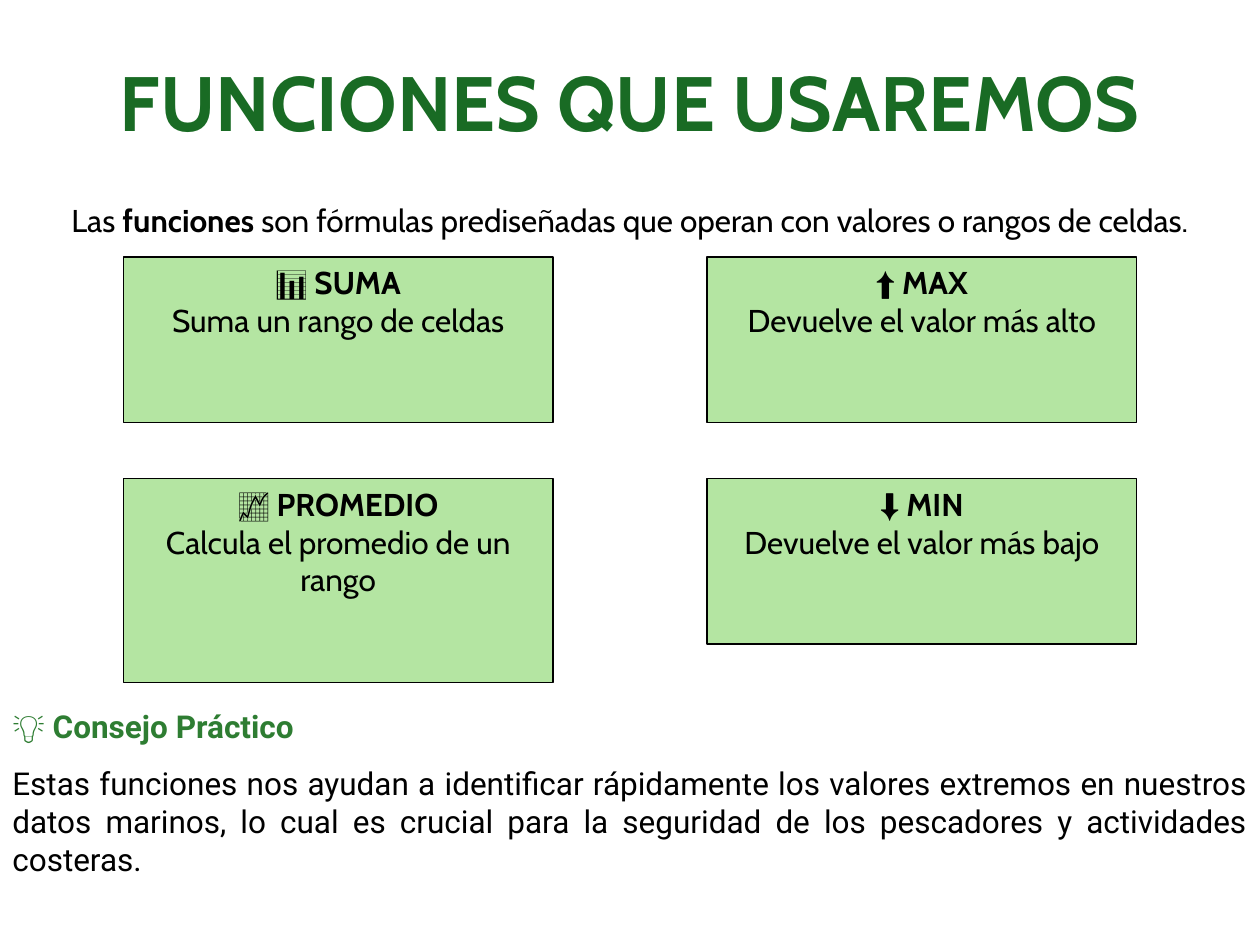
from pptx import Presentation
from pptx.dml.color import RGBColor
from pptx.enum.shapes import MSO_SHAPE
from pptx.enum.text import MSO_ANCHOR, MSO_AUTO_SIZE, PP_ALIGN
from pptx.util import Pt

BLACK = "000000"
TITLE_GREEN = "196B24"
TIP_GREEN = "2E7D32"
CARD_GREEN = "B4E5A2"

CARD_LEFTS = (70.5, 404)
CARD_TOPS = (147, 273.5)
CARD_WIDTH = 245.5
CARDS = [
    (0, 0, 94.5, "📊 SUMA", "Suma un rango de celdas"),
    (1, 0, 94.5, "⬆️ MAX", "Devuelve el valor más alto"),
    (1, 1, 94.5, "⬇️ MIN", "Devuelve el valor más bajo"),
    (0, 1, 116.5, "📈 PROMEDIO", "Calcula el promedio de un rango"),
]


def color(value):
    return RGBColor.from_string(value)


def apply_format(target, values):
    for attribute, value in values.items():
        setattr(target, attribute, value)


def add_run(paragraph, text, ink=BLACK, **values):
    run = paragraph.add_run()
    run.text = text
    apply_format(run.font, {"name": "Cabin", "size": Pt(18), "bold": False, **values})
    run.font.color.rgb = color(ink)


def prepare_frame(holder, anchor=MSO_ANCHOR.TOP):
    frame = holder.text_frame
    apply_format(frame, {
        "word_wrap": True,
        "auto_size": MSO_AUTO_SIZE.NONE,
        "vertical_anchor": anchor,
    })
    return frame


def add_title(slide, text):
    title = slide.shapes.title
    apply_format(title, {
        "left": Pt(49.5), "top": Pt(8.5), "width": Pt(621), "height": Pt(104.5),
    })
    heading = prepare_frame(title, MSO_ANCHOR.MIDDLE).paragraphs[0]
    apply_format(heading, {"alignment": PP_ALIGN.CENTER, "line_spacing": 0.9})
    add_run(heading, text, TITLE_GREEN, size=Pt(44), bold=True)


def add_full_width_frame(slide, top, height):
    box = slide.shapes.add_textbox(Pt(0), Pt(top), Pt(720), Pt(height))
    return prepare_frame(box)


def add_definition(slide):
    definition = add_full_width_frame(slide, 111.5, 29).paragraphs[0]
    definition.alignment = PP_ALIGN.CENTER
    add_run(definition, "Las ")
    add_run(definition, "funciones", bold=True)
    add_run(definition, " son fórmulas prediseñadas que operan con valores o rangos de celdas.")


def add_card(slide, column, row, height, function_name, purpose):
    card = slide.shapes.add_shape(
        MSO_SHAPE.RECTANGLE, Pt(CARD_LEFTS[column]), Pt(CARD_TOPS[row]),
        Pt(CARD_WIDTH), Pt(height))
    card.shadow.inherit = False
    card.fill.solid()
    card.fill.fore_color.rgb = color(CARD_GREEN)
    card.line.color.rgb = color(BLACK)
    card.line.width = Pt(1)
    frame = prepare_frame(card)
    heading, description = frame.paragraphs[0], frame.add_paragraph()
    for paragraph in (heading, description):
        paragraph.alignment = PP_ALIGN.CENTER
    add_run(heading, function_name, bold=True)
    add_run(description, purpose)


def add_tip(slide, heading_text, advice_text):
    frame = add_full_width_frame(slide, 400.5, 106)
    heading, advice = frame.paragraphs[0], frame.add_paragraph()
    apply_format(heading, {"alignment": PP_ALIGN.JUSTIFY, "space_after": Pt(11.2)})
    advice.alignment = PP_ALIGN.JUSTIFY
    add_run(heading, heading_text, TIP_GREEN, name="Roboto", bold=True)
    add_run(advice, advice_text, name="Roboto")


def main():
    presentation = Presentation()
    apply_format(presentation, {"slide_width": Pt(720), "slide_height": Pt(540)})
    slide = presentation.slides.add_slide(presentation.slide_layouts[5])
    add_title(slide, "FUNCIONES QUE USAREMOS")
    add_definition(slide)
    for card in CARDS:
        add_card(slide, *card)
    add_tip(
        slide, "💡 Consejo Práctico",
        "Estas funciones nos ayudan a identificar rápidamente los valores extremos "
        "en nuestros datos marinos, lo cual es crucial para la seguridad de los "
        "pescadores y actividades costeras.")
    presentation.save("out.pptx")


if __name__ == "__main__":
    main()
